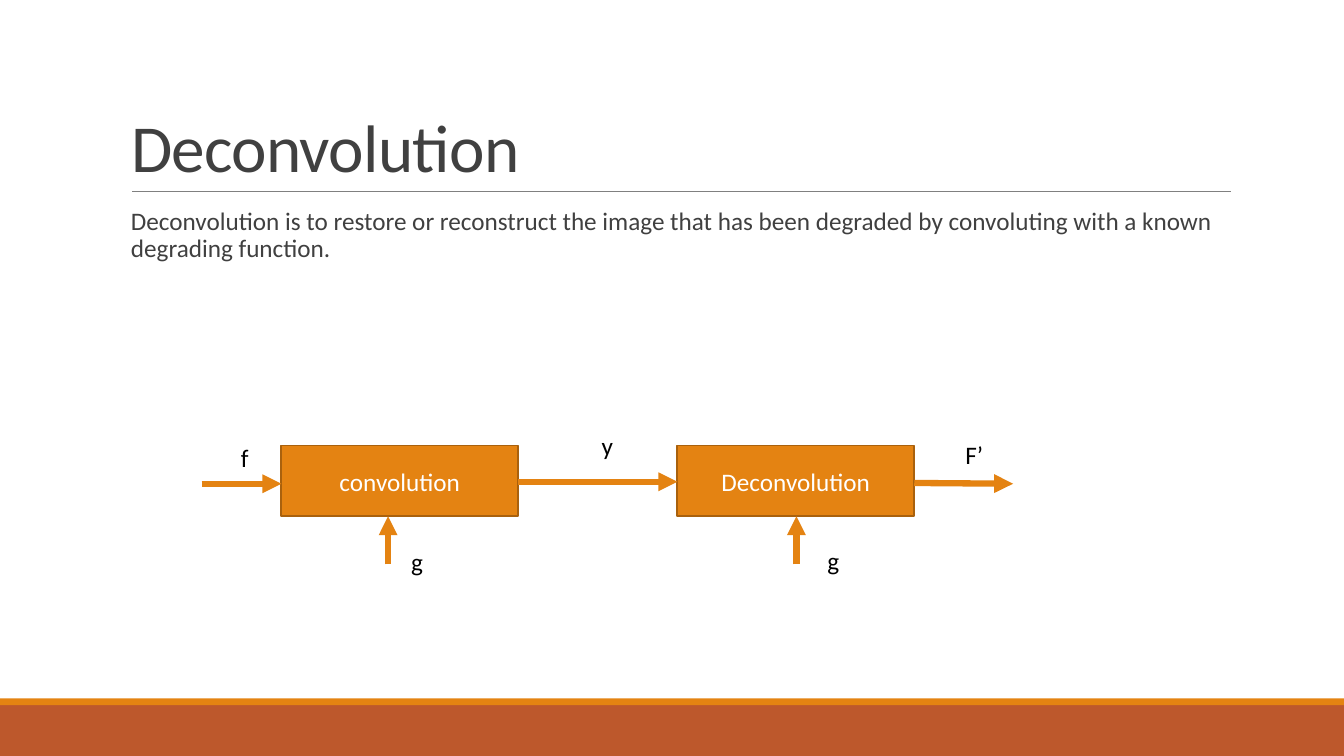
from lxml import etree
from pptx import Presentation
from pptx.dml.color import RGBColor
from pptx.enum import shapes, text
from pptx.oxml import ns
from pptx.util import Cm, Pt

ORANGE = RGBColor(0xE4, 0x83, 0x12)
RUST = RGBColor(0xBD, 0x58, 0x2C)
BROWN = RGBColor(0xA9, 0x61, 0x0D)
GREY = RGBColor(0x80, 0x80, 0x80)
DARK = RGBColor(0x40, 0x40, 0x40)
BLACK = RGBColor(0, 0, 0)
WHITE = RGBColor(0xFF, 0xFF, 0xFF)
FONT = "Calibri"
WIDTH, HEIGHT = 33.87, 19.05


def add_run(paragraph, wording, size, color):
    run = paragraph.add_run()
    run.text = wording
    run.font.name, run.font.size = FONT, Pt(size)
    run.font.color.rgb = color
    return run


def add_rect(slide, left, top, width, height, fill, outline=None):
    rect = slide.shapes.add_shape(shapes.MSO_SHAPE.RECTANGLE,
                                  Cm(left), Cm(top), Cm(width), Cm(height))
    rect.shadow.inherit = False
    rect.fill.solid()
    rect.fill.fore_color.rgb = fill
    if outline is None:
        rect.line.fill.background()
    else:
        rect.line.color.rgb, rect.line.width = outline, Pt(1.25)
    return rect


def add_line(slide, start, end, color, weight, arrow=False):
    line = slide.shapes.add_connector(shapes.MSO_CONNECTOR.STRAIGHT,
                                      *(Cm(v) for v in (*start, *end)))
    line.line.color.rgb, line.line.width = color, Pt(weight)
    if arrow:
        etree.SubElement(line.line._get_or_add_ln(), ns.qn("a:tailEnd"), type="triangle")
    etree.SubElement(line._element.spPr, ns.qn("a:effectLst"))


def place(shape, left, top, width, height):
    shape.left, shape.top = Cm(left), Cm(top)
    shape.width, shape.height = Cm(width), Cm(height)


def build_footer_bands(slide, left, top, width, height):
    stripe = 0.17
    add_rect(slide, left, top + stripe, width, height - stripe, RUST)
    add_rect(slide, left, top, width, stripe, ORANGE)


def build_title(slide, left, top, width, height):
    add_line(slide, (left + 0.28, top + height), (left + width + 0.02, top + height), GREY, 0.5)
    title = slide.shapes.title
    place(title, left, top, width, height)
    frame = title.text_frame
    frame.auto_size = text.MSO_AUTO_SIZE.NONE
    frame.vertical_anchor = text.MSO_ANCHOR.BOTTOM
    heading = frame.paragraphs[0]
    heading.alignment = text.PP_ALIGN.LEFT
    heading.line_spacing = 0.85
    run = add_run(heading, "Deconvolution", 48, DARK)
    run._r.get_or_add_rPr().set("spc", "-50")


def build_definition(slide, left, top, width, height):
    body = slide.placeholders[1]
    place(body, left, top, width, height)
    frame = body.text_frame
    frame.auto_size = text.MSO_AUTO_SIZE.NONE
    frame.margin_left = frame.margin_right = 0
    definition = frame.paragraphs[0]
    definition.line_spacing = 0.9
    definition.space_before, definition.space_after = Pt(12), Pt(2)
    # Hanging indent with a blank bullet
    props = definition._p.get_or_add_pPr()
    props.set("marL", str(Cm(0.25)))
    props.set("indent", str(Cm(-0.25)))
    bullet_color = etree.SubElement(props, ns.qn("a:buClr"))
    etree.SubElement(bullet_color, ns.qn("a:srgbClr"), val=str(ORANGE))
    etree.SubElement(props, ns.qn("a:buChar"), char=" ")
    add_run(definition, "Deconvolution is to restore or reconstruct the image that has been "
            "degraded by convoluting with a known degrading function.", 18, DARK)


def build_signal_flow(slide, left, top, width, height):
    stage_w, stage_h, stage_y = 5.97, 1.78, 0.51
    conv_x, deconv_x = 2.01, 11.99
    stage_bottom = stage_y + stage_h

    # Processing stages
    for x, caption in ((conv_x, "convolution"), (deconv_x, "Deconvolution")):
        stage = add_rect(slide, left + x, top + stage_y, stage_w, stage_h, ORANGE, BROWN)
        stage.text_frame.vertical_anchor = text.MSO_ANCHOR.MIDDLE
        paragraph = stage.text_frame.paragraphs[0]
        paragraph.alignment = text.PP_ALIGN.CENTER
        add_run(paragraph, caption, 18, WHITE)

    # Signals: arrow start, arrow end, label, label position and width
    signals = (
        ((0, 1.47), (conv_x, 1.47), "f", 0.74, 0.3, 0.71),
        ((conv_x + stage_w, 1.42), (deconv_x, 1.42), "y", 9.83, 0, 0.81),
        ((deconv_x + stage_w, 1.45), (width, 1.47), "F’", 19, 0.23, 0.97),
        ((4.7, height), (4.7, stage_bottom), "g", 5.03, 2.92, 0.81),
        ((14.99, height), (14.99, stage_bottom), "g", 15.52, 2.89, 0.81),
    )
    for start, end, symbol, x, y, label_w in signals:
        add_line(slide, (left + start[0], top + start[1]),
                 (left + end[0], top + end[1]), ORANGE, 4.5, arrow=True)
        label = slide.shapes.add_textbox(Cm(left + x), Cm(top + y), Cm(label_w), Cm(1.02))
        label.text_frame.word_wrap = False
        label.text_frame.auto_size = text.MSO_AUTO_SIZE.SHAPE_TO_FIT_TEXT
        add_run(label.text_frame.paragraphs[0], symbol, 18, BLACK)


deck = Presentation()
deck.slide_width, deck.slide_height = Cm(WIDTH), Cm(HEIGHT)
slide = deck.slides.add_slide(deck.slide_layouts[1])
build_footer_bands(slide, 0, 17.6, WIDTH, HEIGHT - 17.6)
build_title(slide, 3.05, 0.79, 27.94, 4.04)
build_definition(slide, 3.05, 5.13, 27.94, 11.18)
build_signal_flow(slide, 5.08, 10.72, 20.45, 3.5)
deck.save("out.pptx")
